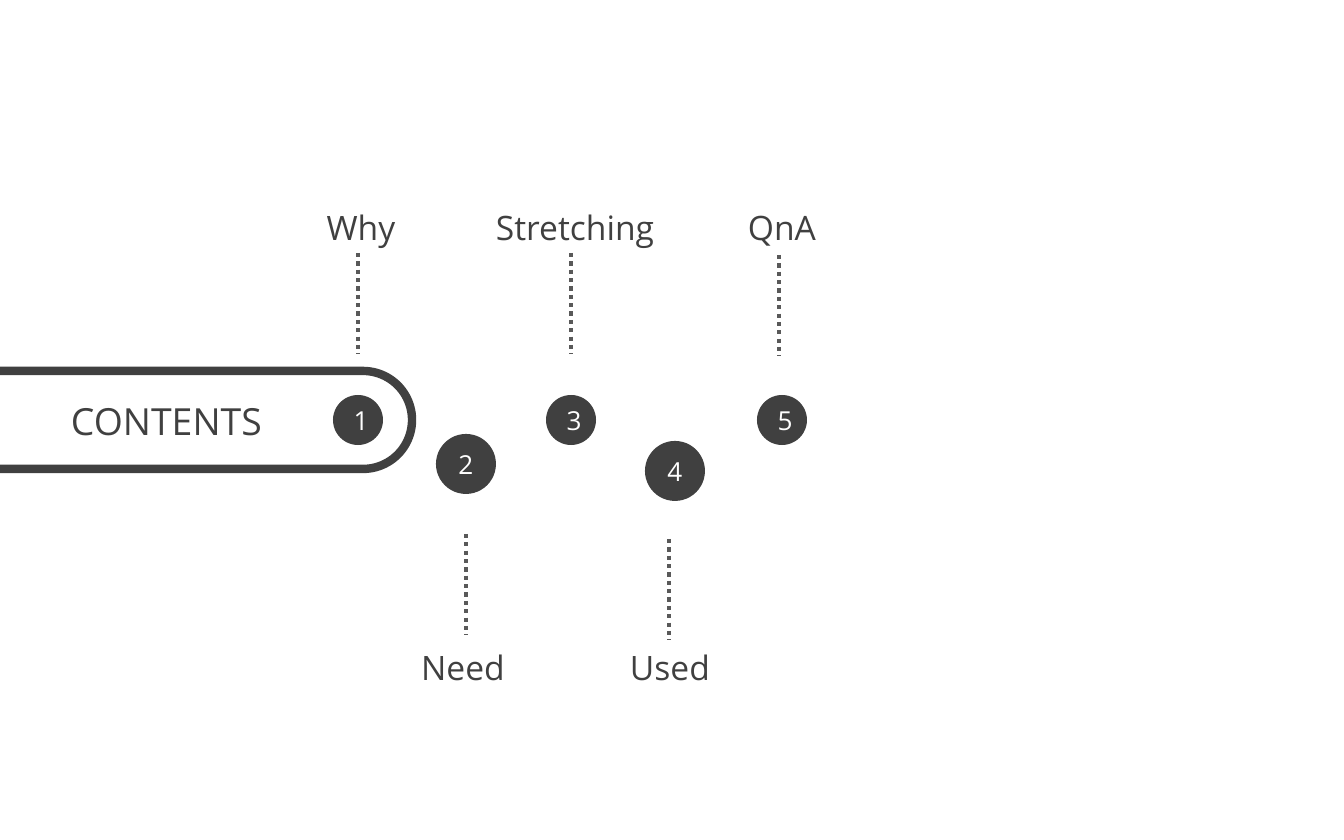
"""Build a contents slide with five numbered stops along a bar."""
import pptx
import pptx.dml.color
import pptx.enum.dml
import pptx.enum.shapes
import pptx.enum.text
import pptx.oxml
import pptx.util

SCALE = 914400 / 134.4
DARK, DOT_GRAY, WHITE = "404040", "595959", "FFFFFF"
SHAPES = pptx.enum.shapes.MSO_SHAPE
ANCHOR = pptx.enum.text.MSO_ANCHOR
LABEL_FRAME = {
    "word_wrap": False,
    "auto_size": pptx.enum.text.MSO_AUTO_SIZE.SHAPE_TO_FIT_TEXT,
    "vertical_anchor": ANCHOR.TOP,
}
BADGE_FRAME = {"word_wrap": True, "vertical_anchor": ANCHOR.MIDDLE}


def px(*lengths):
    return [pptx.util.Emu(round(length * SCALE)) for length in lengths]


def rgb(code):
    return pptx.dml.color.RGBColor.from_string(code)


def apply(target, formats):
    for key, value in formats.items():
        setattr(target, key, value)


class ContentsSlide:
    def __init__(self, slide, font="Open Sans"):
        self.slide = slide
        self.shapes = slide.shapes
        self.font = font

    def set_text(self, holder, text, size, color, frame_format):
        frame = holder.text_frame
        apply(frame, frame_format)
        paragraph = frame.paragraphs[0]
        paragraph.text = text
        paragraph.alignment = pptx.enum.text.PP_ALIGN.CENTER
        apply(paragraph.font, {"name": self.font, "size": pptx.util.Pt(size)})
        paragraph.font.color.rgb = rgb(color)

    def title(self, text, left, top, width, height):
        heading = self.shapes.title
        places = px(left, top, width, height)
        apply(heading, dict(zip(("left", "top", "width", "height"), places)))
        self.set_text(heading, text, 20, DARK, LABEL_FRAME)

    def label(self, text, center, top, width):
        caption = self.shapes.add_textbox(*px(center - width // 2, top, width, 54))
        self.set_text(caption, text, 18, DARK, LABEL_FRAME)

    def badge(self, number, left, top, diameter):
        circle = self.shapes.add_shape(SHAPES.OVAL, *px(left, top, diameter, diameter))
        circle.shadow.inherit = False
        circle.fill.solid()
        circle.fill.fore_color.rgb = rgb(DARK)
        circle.line.fill.background()
        self.set_text(circle, str(number), 14, WHITE, BADGE_FRAME)

    def bar(self, left, top, width, height):
        outline = self.shapes.add_shape(SHAPES.ROUNDED_RECTANGLE, *px(left, top, width, height))
        outline.adjustments[0] = 0.5
        outline.shadow.inherit = False
        outline.fill.background()
        outline.line.color.rgb = rgb(DARK)
        outline.line.width = pptx.util.Pt(4.5)

    def leader(self, x, top, length=101):
        straight = pptx.enum.shapes.MSO_CONNECTOR.STRAIGHT
        dots = self.shapes.add_connector(straight, *px(x, top, x, top + length))
        dots.line.color.rgb = rgb(DOT_GRAY)
        apply(dots.line, {
            "width": pptx.util.Pt(2.25),
            "dash_style": pptx.enum.dml.MSO_LINE.ROUND_DOT,
        })
        properties = dots._element.spPr
        properties.append(pptx.oxml.xmlchemy.OxmlElement("a:effectLst"))


def main():
    deck = pptx.Presentation()
    deck.slide_width, deck.slide_height = px(1344, 840)
    contents = ContentsSlide(deck.slides.add_slide(deck.slide_layouts[5]))
    contents.bar(-185, 371, 597, 98)
    contents.title("CONTENTS", 51, 391, 231, 59)
    stops = [
        ("Why", (361, 200, 106), (358, 253), (333, 395, 50)),
        ("Need", (463, 640, 120), (466, 534), (436, 434, 60)),
        ("Stretching", (575, 200, 210), (571, 253), (546, 395, 50)),
        ("Used", (670, 640, 114), (669, 539), (645, 441, 60)),
        ("QnA", (782, 200, 102), (779, 255), (757, 395, 50)),
    ]
    for number, (topic, label, leader, badge) in enumerate(stops, 1):
        contents.badge(number, *badge)
        contents.leader(*leader)
        contents.label(topic, *label)
    deck.save("out.pptx")


if __name__ == "__main__":
    main()
